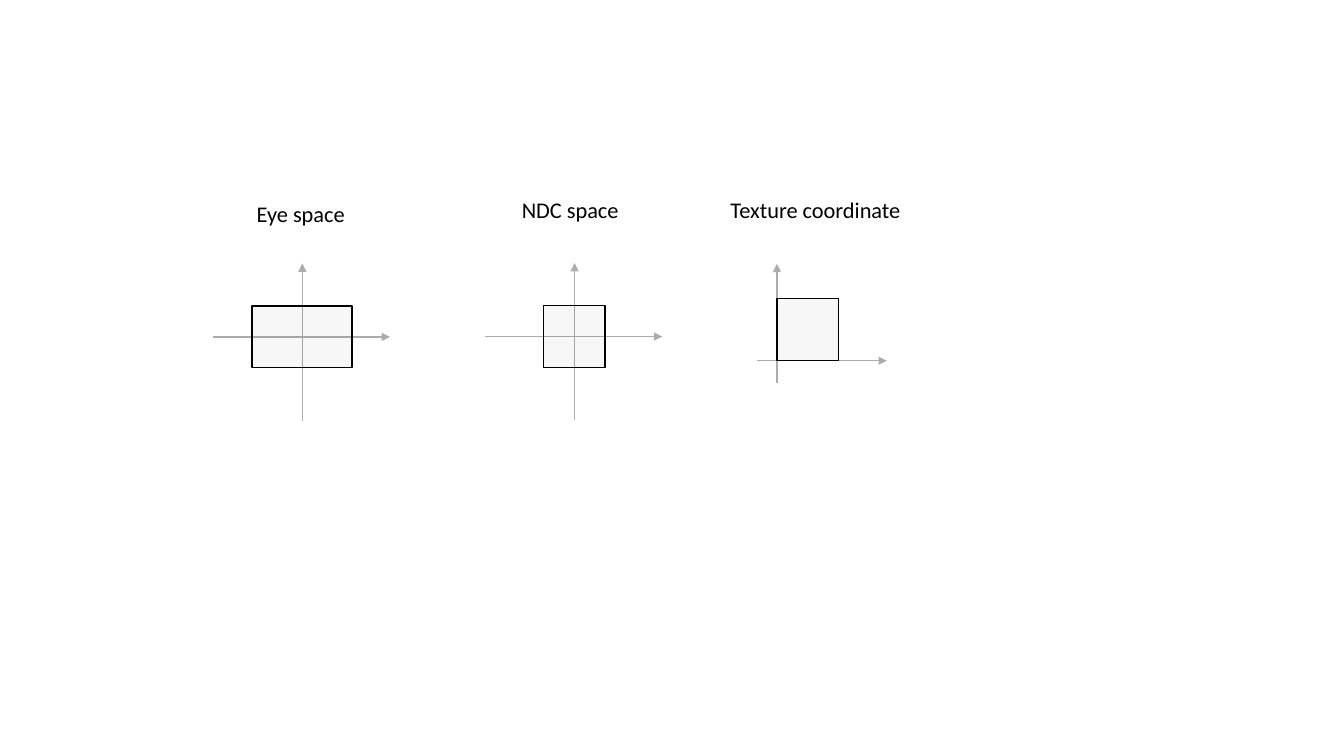
from pptx import Presentation
from pptx.dml.color import RGBColor
from pptx.enum.shapes import MSO_CONNECTOR, MSO_SHAPE
from pptx.enum.text import MSO_AUTO_SIZE
from pptx.oxml.ns import qn
from pptx.util import Cm, Pt
from lxml.etree import SubElement

BLACK = RGBColor(0, 0, 0)
GRAY = RGBColor(0xAF, 0xAB, 0xAB)
FONT = "Calibri"
SIDE = 1.56
CENTERED = (2.26, 2.21, 1.85, 2.11)
CORNER = (0.51, 2.77, 2.44, 0.56)

# title, title box (left, top, width), origin, arms (left, right, up, down), box (dx, dy, width)
SPACES = [
    ("Eye space", (6.22, 4.93, 2.77), (7.62, 8.49), CENTERED, (-1.27, -0.78, 2.52)),
    ("NDC space", (12.9, 4.83, 2.97), (14.48, 8.48), CENTERED, (-0.79, -0.78, SIDE)),
    ("Texture coordinate", (18.16, 4.81, 4.83), (19.58, 9.09), CORNER, (0, -SIDE, SIDE)),
]


def add_axis(group, x1, y1, x2, y2):
    axis = group.shapes.add_connector(
        MSO_CONNECTOR.STRAIGHT, Cm(x1), Cm(y1), Cm(x2), Cm(y2))
    axis.line.color.rgb = GRAY
    axis.line.width = Pt(1)
    props = axis._element.spPr
    SubElement(props.find(qn("a:ln")), qn("a:tailEnd"), type="triangle")
    SubElement(props, qn("a:effectLst"))


def add_box(group, x, y, width):
    box = group.shapes.add_shape(
        MSO_SHAPE.RECTANGLE, Cm(x), Cm(y), Cm(width), Cm(SIDE))
    box.shadow.inherit = False
    box.fill.solid()
    box.fill.fore_color.rgb = BLACK
    color = box._element.spPr.find(qn("a:solidFill"))[0]
    SubElement(color, qn("a:alpha"), val="3000")
    box.line.color.rgb = BLACK
    box.line.width = Pt(1)


def add_title(slide, text, left, top, width):
    title = slide.shapes.add_textbox(Cm(left), Cm(top), Cm(width), Cm(0.94))
    frame = title.text_frame
    frame.text = text
    frame.word_wrap = False
    frame.auto_size = MSO_AUTO_SIZE.SHAPE_TO_FIT_TEXT
    font = frame.paragraphs[0].runs[0].font
    font.name = FONT
    font.size = Pt(16)
    font.color.rgb = BLACK


def main():
    deck = Presentation()
    deck.slide_width = Cm(33.87)
    deck.slide_height = Cm(19.05)
    slide = deck.slides.add_slide(deck.slide_layouts[6])
    for text, place, (x, y), (left, right, up, down), (dx, dy, width) in SPACES:
        group = slide.shapes.add_group_shape()
        add_axis(group, x - left, y, x + right, y)
        add_axis(group, x, y + down, x, y - up)
        add_box(group, x + dx, y + dy, width)
        add_title(slide, text, *place)
    deck.save("out.pptx")


if __name__ == "__main__":
    main()
